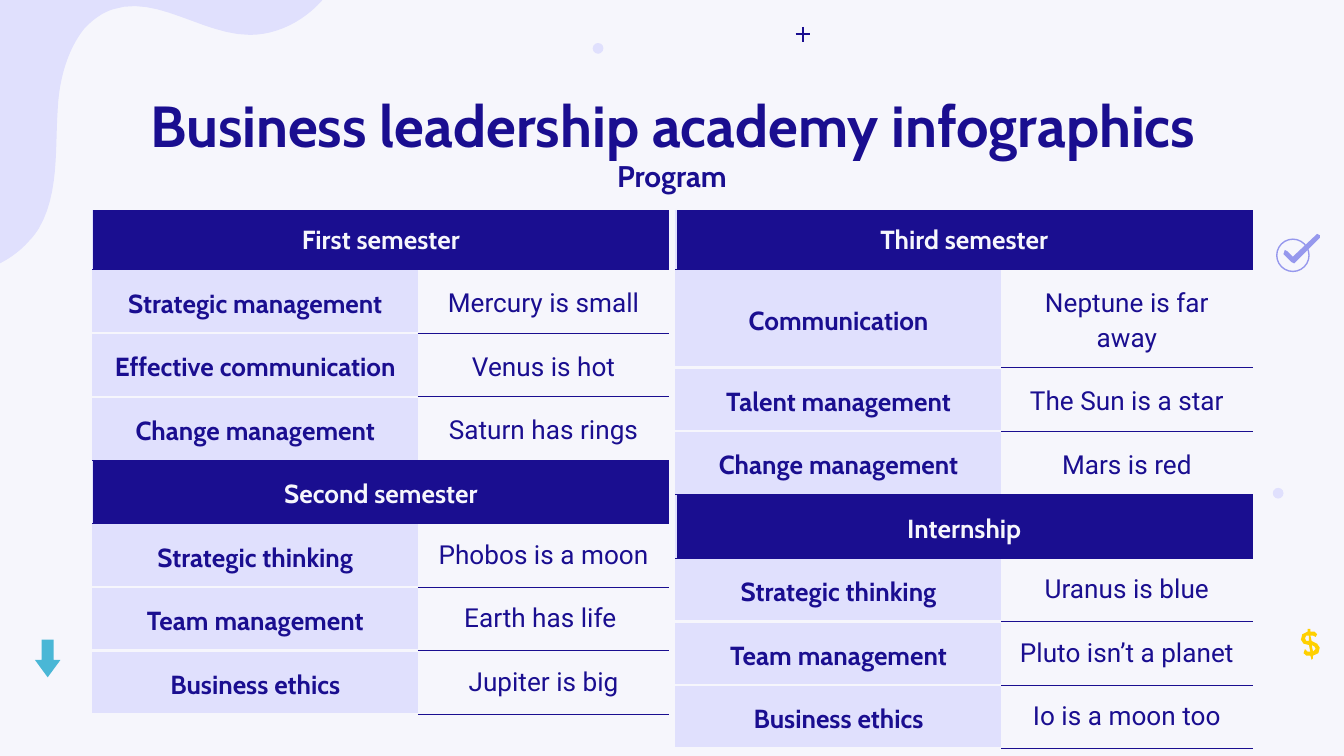
from pptx import Presentation
from pptx.dml.color import RGBColor
from pptx.enum.shapes import MSO_CONNECTOR, MSO_SHAPE
from pptx.enum.text import MSO_ANCHOR, MSO_AUTO_SIZE, PP_ALIGN
from pptx.oxml.ns import qn
from pptx.util import Inches, Pt
from lxml.etree import SubElement

NAVY = RGBColor(0x1A, 0x0E, 0x90)
LILAC = RGBColor(0xE0, 0xE0, 0xFD)
PALE = RGBColor(0xF6, 0xF6, 0xFC)
VIOLET = RGBColor(0x96, 0x98, 0xED)
TEAL = RGBColor(0x4A, 0xB7, 0xD6)
YELLOW = RGBColor(0xFF, 0xD0, 0x00)
HEAD_FONT, BODY_FONT = "Cabin", "Roboto"

# Wave edge: start point, then Bezier segments (two controls and an end)
WAVE_START = (0, 1.96)
WAVE_CURVES = [
    ((0.08, 1.92), (0.16, 1.86), (0.22, 1.79)),
    ((0.25, 1.76), (0.27, 1.73), (0.29, 1.7)),
    ((0.44, 1.44), (0.41, 1.12), (0.43, 0.81)),
    ((0.44, 0.6), (0.5, 0.37), (0.63, 0.21)),
    ((0.69, 0.15), (0.75, 0.1), (0.84, 0.07)),
    ((1.17, -0.04), (1.51, 0.26), (1.86, 0.26)),
    ((2.06, 0.26), (2.26, 0.16), (2.4, 0)),
]
# Icon outlines, relative to the icon's corner
CHECK = [(0.12, 0.17), (0.08, 0.13), (0.06, 0.12), (0.05, 0.15), (0.11, 0.21),
         (0.13, 0.22), (0.32, 0.03), (0.32, 0.01), (0.3, 0), (0.29, 0.01)]
DOLLAR = [
    [(0.07, 0), (0.05, 0), (0.05, 0.02), (0.01, 0.04), (0, 0.08), (0.02, 0.11),
     (0.06, 0.12), (0.07, 0.17), (0.05, 0.17), (0.03, 0.15), (0.02, 0.18),
     (0.04, 0.2), (0.07, 0.2), (0.08, 0.23), (0.09, 0.22), (0.09, 0.2),
     (0.13, 0.18), (0.14, 0.14), (0.12, 0.11), (0.08, 0.09), (0.07, 0.05),
     (0.09, 0.05), (0.11, 0.06), (0.12, 0.04), (0.1, 0.02), (0.07, 0.02)],
    [(0.06, 0.05), (0.06, 0.09), (0.04, 0.09), (0.03, 0.07), (0.04, 0.05)],
    [(0.08, 0.12), (0.1, 0.13), (0.11, 0.15), (0.09, 0.17)],
]

FIRST_YEAR = [
    ("First semester", [("Strategic management", "Mercury is small"),
                        ("Effective communication", "Venus is hot"),
                        ("Change management", "Saturn has rings")]),
    ("Second semester", [("Strategic thinking", "Phobos is a moon"),
                         ("Team management", "Earth has life "),
                         ("Business ethics", "Jupiter is big")]),
]
SECOND_YEAR = [
    ("Third semester", [("Communication", "Neptune is far away"),
                        ("Talent management", "The Sun is a star"),
                        ("Change management", "Mars is red")]),
    ("Internship", [("Strategic thinking", "Uranus is blue"),
                    ("Team management", "Pluto isn’t a planet"),
                    ("Business ethics", "Io is a moon too")]),
]


def paint(sp, color):
    sp.shadow.inherit = False
    sp.fill.solid()
    sp.fill.fore_color.rgb = color
    sp.line.fill.background()
    return sp


def add_preset(slide, kind, color, *box):
    sp = slide.shapes.add_shape(kind, *(Inches(v) for v in box))
    return paint(sp, color)


def add_outline(slide, color, contours, left=0, top=0):
    contours = [[(Inches(left + x), Inches(top + y)) for x, y in c]
                for c in contours]
    fb = slide.shapes.build_freeform(*contours[0][0])
    for i, points in enumerate(contours):
        if i:
            fb.move_to(*points[0])
        fb.add_line_segments(points[1:], close=True)
    return paint(fb.convert_to_shape(), color)


def bezier(p0, p1, p2, p3, steps=12):
    for i in range(1, steps + 1):
        t = i / steps
        u = 1 - t
        yield tuple(u**3 * a + 3 * u * u * t * b + 3 * u * t * t * c + t**3 * d
                    for a, b, c, d in zip(p0, p1, p2, p3))


def add_wave(slide):
    points = [WAVE_START]
    for curve in WAVE_CURVES:
        points += list(bezier(points[-1], *curve))
    add_outline(slide, LILAC, [points + [(0, 0)]])


def add_plus(slide, left, top, size):
    mid = size / 2
    for x1, y1, x2, y2 in ((0, mid, size, mid), (mid, 0, mid, size)):
        ln = slide.shapes.add_connector(
            MSO_CONNECTOR.STRAIGHT, Inches(left + x1), Inches(top + y1),
            Inches(left + x2), Inches(top + y2))
        ln.line.color.rgb = NAVY
        ln.line.width = Pt(0.78)
        SubElement(ln._element.spPr, qn("a:effectLst"))


def add_check(slide, left, top):
    ring = add_preset(slide, MSO_SHAPE.OVAL, PALE, left, top + 0.04, 0.24, 0.24)
    ring.fill.background()
    ring.line.color.rgb = VIOLET
    ring.line.width = Pt(0.75)
    add_outline(slide, VIOLET, [CHECK], left, top)


def add_decoration(slide):
    arrow = add_preset(slide, MSO_SHAPE.DOWN_ARROW, TEAL, 0.26, 4.76, 0.19, 0.28)
    arrow.adjustments[0], arrow.adjustments[1] = 0.47, 0.68
    add_outline(slide, YELLOW, DOLLAR, 9.68, 4.68)
    add_check(slide, 9.5, 1.74)
    for x, y in ((9.47, 3.63), (4.41, 0.32)):
        add_preset(slide, MSO_SHAPE.OVAL, LILAC, x, y, 0.08, 0.08)
    add_plus(slide, 5.92, 0.2, 0.11)
    add_wave(slide)


def write(tf, text, size, color, font=HEAD_FONT, bold=True, spacing=None):
    tf.text = text
    p = tf.paragraphs[0]
    p.alignment = PP_ALIGN.CENTER
    p.line_spacing = spacing
    f = p.runs[0].font
    f.name, f.size, f.bold = font, Pt(size), bold
    f.color.rgb = color


def add_heading(sp, text, size, box, spacing=None):
    sp.left, sp.top, sp.width, sp.height = (Inches(v) for v in box)
    tf = sp.text_frame
    tf.word_wrap = True
    tf.auto_size = MSO_AUTO_SIZE.NONE
    tf.vertical_anchor = MSO_ANCHOR.TOP
    tf.margin_left = tf.margin_right = tf.margin_top = tf.margin_bottom = Inches(0.1)
    write(tf, text, size, NAVY, spacing=spacing)


def format_cell(cell, fill, **borders):
    """Borders are L, R, T, B = (colour, points); the others are off."""
    cell.margin_left = cell.margin_right = Inches(0.1)
    cell.margin_top = cell.margin_bottom = Inches(0.1)
    cell.vertical_anchor = MSO_ANCHOR.MIDDLE
    tc_pr = cell._tc.get_or_add_tcPr()
    for side in "LRTB":
        color, width = borders.get(side, (None, 0))
        ln = SubElement(tc_pr, qn("a:ln" + side), w=str(Pt(width)))
        if color is None:
            SubElement(ln, qn("a:noFill"))
        else:
            solid = SubElement(ln, qn("a:solidFill"))
            SubElement(solid, qn("a:srgbClr"), val=str(color))
    if fill is None:
        cell.fill.background()
    else:
        cell.fill.solid()
        cell.fill.fore_color.rgb = fill


def add_program_table(slide, left, top, semesters):
    n_rows = sum(1 + len(courses) for _, courses in semesters)
    frame = slide.shapes.add_table(n_rows, 2, Inches(left), Inches(top),
                                   Inches(4.29), Inches(3.28))
    table = frame.table
    table.first_row = table.horz_banding = False
    for col, width in zip(table.columns, (2.42, 1.87)):
        col.width = Inches(width)
    for row in table.rows:
        row.height = Inches(0.29)  # rows grow to fit their text
    frame.width = frame.height = Inches(3.28)

    navy, gap, edge = (NAVY, 0.75), (PALE, 1.5), (LILAC, 0.75)
    r = 0
    for i, (semester, courses) in enumerate(semesters):
        # Semester band
        head, rest = table.cell(r, 0), table.cell(r, 1)
        head.merge(rest)
        format_cell(head, NAVY, L=edge, T=navy, B=navy)
        format_cell(rest, NAVY, T=navy, B=navy)
        write(head.text_frame, semester, 14, PALE, spacing=1.15 if i else None)
        # Courses
        for j, (course, note) in enumerate(courses):
            r += 1
            name, text = table.cell(r, 0), table.cell(r, 1)
            before_band = j == len(courses) - 1 and r < n_rows - 1
            format_cell(name, LILAC, L=edge, T=gap if j else navy,
                        B=navy if before_band else gap)
            format_cell(text, None, T=navy, B=navy)
            write(name.text_frame, course, 14, NAVY, spacing=1.15)
            write(text.text_frame, note, 14, NAVY, BODY_FONT, False,
                  None if i else 1.15)
        r += 1


def main():
    prs = Presentation()
    prs.slide_width = Inches(10)
    prs.slide_height = prs.slide_width * 9 // 16
    slide = prs.slides.add_slide(prs.slide_layouts[5])
    slide.background.fill.solid()
    slide.background.fill.fore_color.rgb = PALE

    add_decoration(slide)
    add_heading(slide.shapes.title, "Business leadership academy infographics",
                31, (0.79, 0.49, 8.43, 0.63), 1.15)
    add_program_table(slide, 0.69, 1.57, FIRST_YEAR)
    add_heading(slide.shapes.add_textbox(0, 0, 0, 0), "Program",
                16, (2.61, 1.07, 4.78, 0.44))
    add_program_table(slide, 5.03, 1.57, SECOND_YEAR)
    prs.save("out.pptx")


if __name__ == "__main__":
    main()
